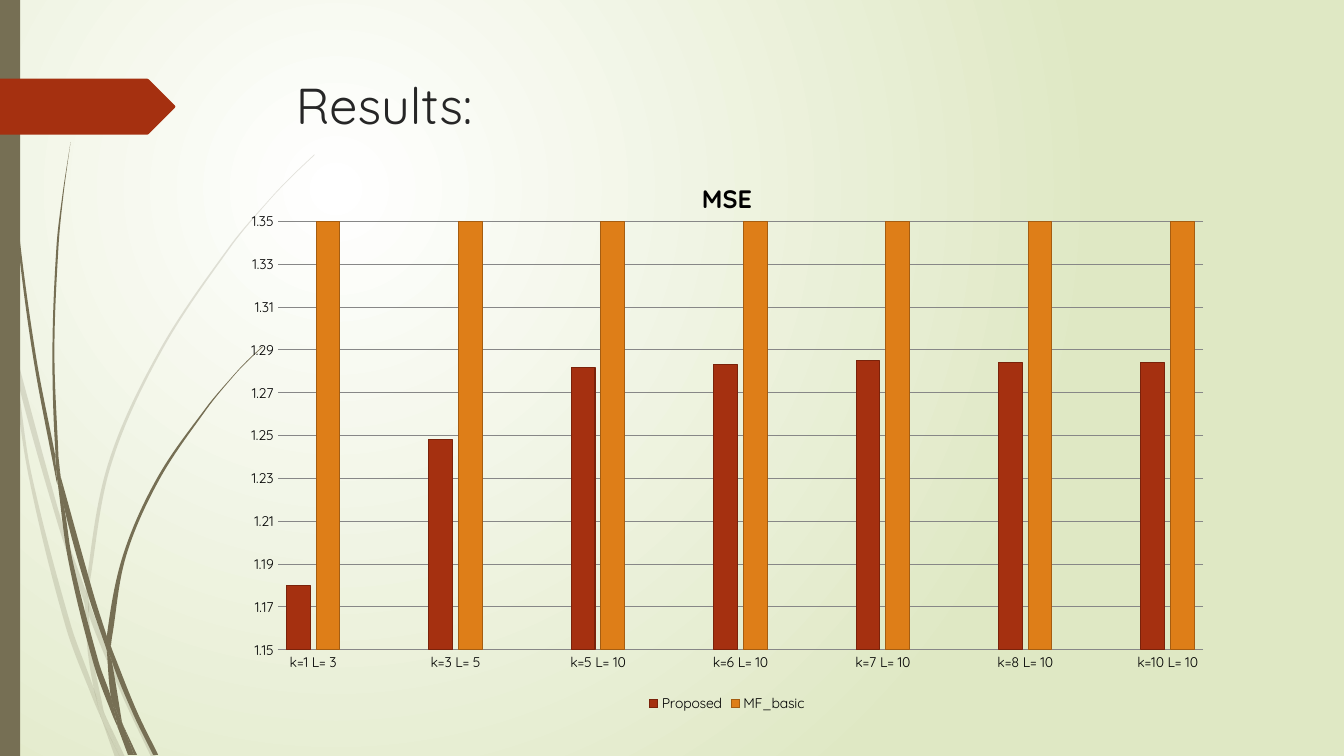
from math import dist

from lxml import etree
from pptx import Presentation
from pptx.chart.data import CategoryChartData as ChartData
from pptx.dml.color import RGBColor
from pptx.enum.chart import XL_CHART_TYPE as Kind
from pptx.enum.chart import XL_LEGEND_POSITION as Side
from pptx.enum.chart import XL_TICK_MARK as Tick
from pptx.enum.shapes import MSO_SHAPE as Form
from pptx.enum.text import MSO_ANCHOR as Anchor
from pptx.enum.text import PP_ALIGN as Align
from pptx.oxml import parse_xml
from pptx.oxml.ns import nsdecls, qn
from pptx.util import Pt

FONT = "Quicksand"
WHITE, BLACK = RGBColor(0xFF, 0xFF, 0xFF), RGBColor(0, 0, 0)
INK, GREY = RGBColor(0x26, 0x26, 0x26), RGBColor(0x87, 0x87, 0x87)
LIME, OLIVE = RGBColor(0xDF, 0xE8, 0xC4), RGBColor(0x76, 0x6F, 0x54)
RUST, MAROON = RGBColor(0xA5, 0x30, 0x10), RGBColor(0x7A, 0x22, 0x0A)
AMBER, BROWN = RGBColor(0xDE, 0x7E, 0x18), RGBColor(0xA5, 0x5D, 0x11)

# Grass pieces: both edges of each, on a grid of 0.72 points
GRID = 0.72
PALE = [
    ([(0, 299), (10, 344), (11, 350)], [(9, 322), (0, 282)]),
    ([(14, 345), (17, 376), (58, 522), (84, 599)], [(85, 586), (62, 520), (14, 345)]),
    ([(88, 596), (88, 610), (123, 694), (150, 751)], [(155, 751), (127, 692), (92, 607), (88, 596)]),
    ([(105, 711), (119, 751)], [(124, 751), (105, 711)]),
    ([(11, 350), (28, 470), (65, 621), (92, 693), (101, 714)],
     [(99, 707), (93, 683), (70, 619), (31, 469), (17, 376), (11, 350)]),
    ([(84, 599), (87, 646), (93, 683), (96, 692), (105, 711)],
     [(103, 706), (91, 646), (88, 610), (84, 599)]),
    ([(312, 153), (289, 175), (268, 197), (228, 244), (158, 348), (107, 461), (85, 584), (88, 596)],
     [(88, 584), (110, 462), (160, 349), (229, 245), (268, 198), (290, 175), (312, 154)]),
    ([(101, 714), (114, 751)], [(119, 751), (101, 714)]),
    ([(88, 608), (88, 596), (85, 586)], [(84, 599), (88, 608)]),
    ([(93, 683), (99, 707), (101, 714), (119, 751)], [(105, 711), (96, 692), (93, 683)]),
]
DARK = [
    ([(3, 0), (4, 48), (7, 110), (17, 233), (33, 355), (56, 477), (57, 481)],
     [(55, 457), (55, 453), (36, 355), (19, 232), (8, 109), (5, 48), (4, 0)]),
    ([(60, 472), (64, 505), (88, 592), (106, 645)], [(106, 631), (93, 590), (60, 472)]),
    ([(110, 641), (111, 656), (132, 708), (152, 749)], [(157, 749), (136, 706), (113, 649), (110, 641)]),
    ([(57, 477), (68, 557), (93, 659), (111, 708), (117, 722)],
     [(116, 717), (110, 691), (98, 657), (72, 556), (64, 505), (57, 477)]),
    ([(70, 141), (62, 193), (56, 245), (52, 349), (55, 449), (60, 472)],
     [(58, 453), (54, 349), (58, 245), (63, 193), (70, 141)]),
    ([(122, 719), (133, 749)], [(136, 749), (122, 719)]),
    ([(55, 449), (55, 453), (57, 477), (64, 505)], [(60, 472), (55, 449)]),
    ([(260, 344), (245, 358), (231, 373), (204, 405), (156, 474), (122, 551), (106, 631), (110, 641)],
     [(111, 633), (125, 552), (158, 476), (205, 406), (231, 374), (245, 359), (261, 344)]),
    ([(117, 722), (127, 749)], [(131, 749), (117, 722)]),
    ([(106, 645), (110, 691), (116, 706), (122, 719)], [(121, 716), (111, 656), (109, 651), (106, 645)]),
    ([(106, 631), (106, 645), (109, 651), (111, 656)], [(110, 641), (106, 631)]),
    ([(110, 691), (116, 717), (117, 722), (130, 749)], [(133, 749), (122, 719), (116, 706), (110, 691)]),
]


def paint(shape, color, alpha=100):
    shape.shadow.inherit = False
    shape.fill.solid()
    shape.fill.fore_color.rgb = color
    shape.line.fill.background()
    if alpha < 100:
        tone = shape.fill._xPr.find(".//" + qn("a:srgbClr"))
        etree.SubElement(tone, qn("a:alpha"), val=str(alpha * 1000))


def outline(shapes, box, dots):
    first, *rest = [(Pt(x), Pt(y)) for x, y in dots]
    form = shapes.build_freeform(*first, scale=1.0)
    form.add_line_segments(rest, close=True)
    return form.convert_to_shape(Pt(box[0]), Pt(box[1]))


def lean(spot, start, end, reach):
    """Shift the spot along start-end by the reach."""
    span = dist(start, end) or 1
    return tuple(round(s + (e - b) * reach / span) for s, b, e in zip(spot, start, end))


def bend(shape, split):
    """Turn the lines of both edges into curves; the cap at split stays straight."""
    root = shape._element
    dots = [(int(p.get("x")), int(p.get("y"))) for p in root.iter(qn("a:pt"))]
    for i, line in enumerate(list(root.iter(qn("a:lnTo"))), 1):
        if i == split or i >= len(dots):
            continue
        low, high = (0, split - 1) if i < split else (split, len(dots) - 1)
        a, b, c, d = (dots[min(max(k, low), high)] for k in range(i - 2, i + 2))
        third = dist(b, c) / 3
        curve = etree.Element(qn("a:cubicBezTo"))
        for x, y in (lean(b, a, c, third), lean(c, d, b, third), c):
            etree.SubElement(curve, qn("a:pt"), x=str(x), y=str(y))
        line.getparent().replace(line, curve)


def backdrop(slide):
    fill = slide.background.fill
    fill.gradient()
    for stop, color in zip(fill.gradient_stops, (WHITE, LIME)):
        stop.color.rgb = color
    grad = slide._element.find(".//" + qn("a:gradFill"))
    grad.replace(grad.find(qn("a:lin")), parse_xml(
        f'<a:path {nsdecls("a")} path="circle"><a:fillToRect l="50000" '
        't="50000" r="100000" b="100000"/></a:path>'))


def grass(slide, box):
    for blades, alpha in ((PALE, 20), (DARK, 100)):
        group = slide.shapes.add_group_shape()
        for left, right in blades:
            dots = [(x * GRID, y * GRID) for x, y in left + right]
            blade = outline(group.shapes, box, dots)
            bend(blade, len(left))
            paint(blade, OLIVE, alpha)


def stripe(slide, box):
    paint(slide.shapes.add_shape(Form.RECTANGLE, *map(Pt, box)), OLIVE)


def marker(slide, box):
    wide, high = box[2:]
    mid, neck = high / 2, wide - 19
    paint(outline(slide.shapes, box, [
        (0, 0), (neck - 1, 0), (neck, 0.5), (wide - 0.5, mid - 1), (wide, mid),
        (wide - 0.5, mid + 1), (neck, high - 0.5), (neck - 1, high), (0, high)]), RUST)


def heading(slide, box):
    title = slide.shapes.title
    title.left, title.top, title.width, title.height = map(Pt, box)
    frame = title.text_frame
    frame.text, frame.vertical_anchor = "Results:", Anchor.TOP
    para = frame.paragraphs[0]
    para.alignment = Align.LEFT
    para.font.name, para.font.size = FONT, Pt(36)
    para.font.color.rgb = INK


def errors(slide, box):
    # Every second category is an empty spacer
    rows = [("k=1 L= 3", 1.18, 1.596), ("k=3 L= 5", 1.248, 1.555), ("k=5 L= 10", 1.282, 1.481),
            ("k=6 L= 10", 1.283, 1.481), ("k=7 L= 10", 1.285, 1.481),
            ("k=8 L= 10", 1.284, 1.481), ("k=10 L= 10", 1.284, 1.481)]
    spaced = [row for real in rows for row in (real, ("", None, None))][:-1]
    names, ours, base = zip(*spaced)
    data = ChartData()
    data.categories = names
    data.add_series("Proposed", ours)
    data.add_series("MF_basic", base)
    chart = slide.shapes.add_chart(Kind.COLUMN_CLUSTERED, *map(Pt, box), data).chart
    chart.font.name, chart.font.size = FONT, Pt(10)
    chart.font.color.rgb = BLACK
    # Title and legend
    chart.has_title = chart.has_legend = True
    chart.chart_title.text_frame.text = "MSE"
    font = chart.chart_title.text_frame.paragraphs[0].font
    font.name, font.size, font.bold = FONT, Pt(18), True
    font.color.rgb = BLACK
    chart.legend.position, chart.legend.include_in_layout = Side.BOTTOM, False
    # Axes
    value = chart.value_axis
    for axis in (chart.category_axis, value):
        axis.major_tick_mark = axis.minor_tick_mark = Tick.NONE
    value.minimum_scale, value.maximum_scale, value.major_unit = 1.15, 1.35, 0.02
    value.tick_labels.number_format = "General"
    value.tick_labels.number_format_is_linked = False
    value.format.line.fill.background()
    for line in (value.major_gridlines.format.line, chart.category_axis.format.line):
        line.color.rgb, line.width = GREY, Pt(0.75)
    # Columns
    plot = chart.plots[0]
    plot.gap_width, plot.overlap, plot.vary_by_categories = 75, -25, False
    for series, fill, edge in zip(plot.series, (RUST, AMBER), (MAROON, BROWN)):
        look = series.format
        look.fill.solid()
        look.fill.fore_color.rgb = fill
        look.line.color.rgb, look.line.width = edge, Pt(0.75)
    # Inner plot area
    area = plot._element.getparent()
    for old in area.findall(qn("c:layout")):
        area.remove(old)
    sizes = "".join(f'<c:{key} val="{part}"/>' for key, part in
                    zip("xywh", (0.049, 0.112, 0.929, 0.769)))
    area.insert(0, parse_xml(
        f'<c:layout {nsdecls("c")}><c:manualLayout><c:layoutTarget val="inner"/><c:xMode val="edge"/>'
        f'<c:yMode val="edge"/>{sizes}</c:manualLayout></c:layout>'))


deck = Presentation()
deck.slide_width, deck.slide_height = Pt(960), Pt(540)
page = deck.slides.add_slide(deck.slide_layouts[5])
backdrop(page)
grass(page, (0, 0))
stripe(page, (0, 0, 14.4, 540))
marker(page, (0, 56.2, 125.3, 40))
heading(page, (204.2, 49.2, 702, 100.8))
errors(page, (163.4, 113.7, 711.8, 397.8))
deck.save("out.pptx")
